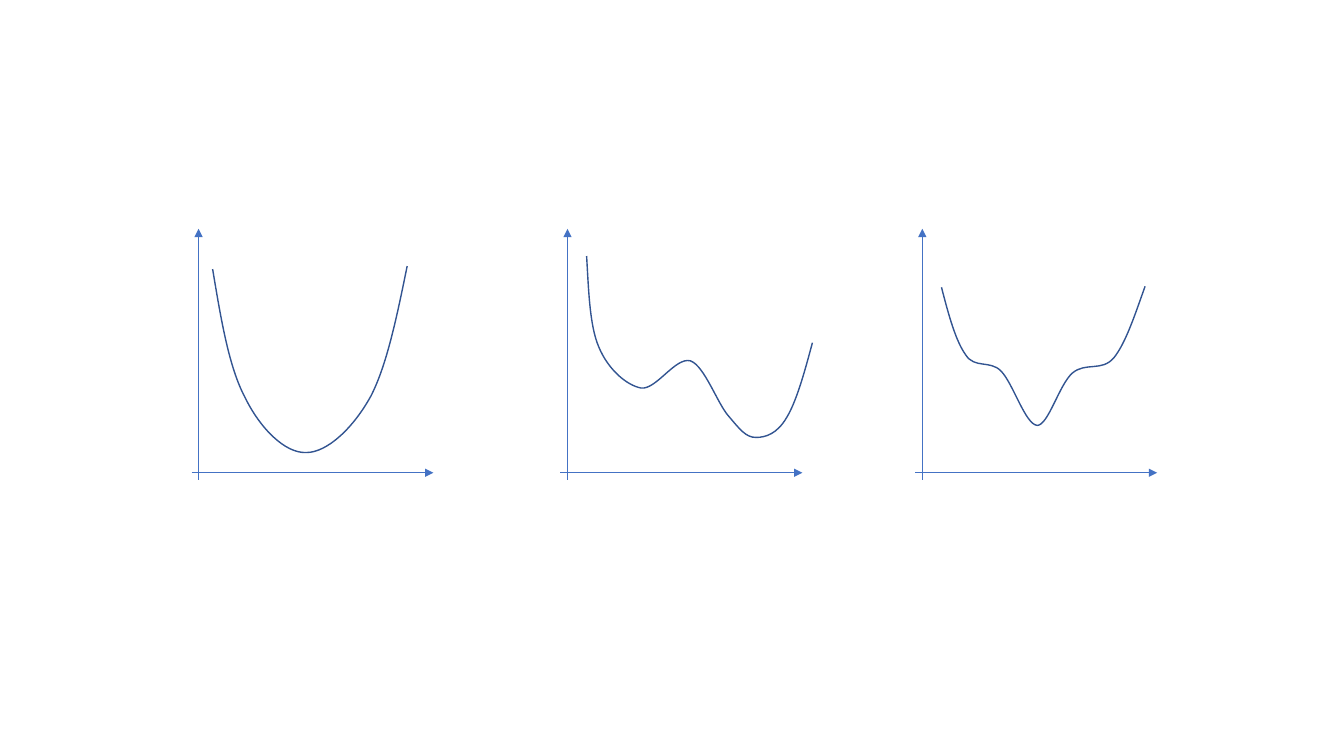
import dataclasses

import pptx
import pptx.dml.color
import pptx.enum.shapes
import pptx.oxml
import pptx.oxml.ns
import pptx.shapes.autoshape
import pptx.shapes.connector
import pptx.shapes.shapetree
import pptx.util

Point = tuple[int, int]

PX = 9144  # EMU per px, 100 px to the inch
AXIS_BLUE = pptx.dml.color.RGBColor(0x44, 0x72, 0xC4)
CURVE_BLUE = pptx.dml.color.RGBColor(0x32, 0x54, 0x91)

BASELINE = 469
AXIS_TOP = 227
AXIS_LENGTH = 233
OVERHANG = 7


@dataclasses.dataclass(frozen=True)
class Plot:
    """Axes crossing at origin_x, and a curve of a start point plus Bezier triples."""

    origin_x: int
    curve: list[Point]


PLOTS = [
    Plot(197, [
        (211, 267),
        (219, 315), (227, 364), (243, 394),
        (258, 425), (283, 450), (304, 449),
        (325, 449), (351, 424), (368, 393),
        (384, 362), (394, 313), (404, 264),
    ]),
    Plot(563, [
        (582, 254),
        (584, 288), (585, 323), (594, 344),
        (603, 366), (621, 382), (636, 385),
        (651, 387), (670, 354), (685, 358),
        (699, 363), (712, 401), (723, 413),
        (734, 426), (740, 434), (750, 434),
        (760, 434), (771, 430), (780, 415),
        (790, 399), (798, 370), (806, 340),
    ]),
    Plot(915, [
        (934, 285),
        (941, 312), (948, 338), (958, 352),
        (967, 366), (982, 357), (993, 368),
        (1005, 380), (1017, 421), (1029, 422),
        (1040, 422), (1051, 381), (1064, 370),
        (1077, 359), (1093, 369), (1105, 355),
        (1117, 340), (1126, 312), (1136, 284),
    ]),
]


def add_axis(shapes: pptx.shapes.shapetree.SlideShapes, start: Point,
             end: Point) -> pptx.shapes.connector.Connector:
    cxn = shapes.add_connector(pptx.enum.shapes.MSO_CONNECTOR.STRAIGHT,
                               *(v * PX for v in start + end))
    cxn.line.color.rgb = AXIS_BLUE
    cxn.line.width = pptx.util.Pt(0.5)
    ln = cxn.line._get_or_add_ln()
    ln.append(pptx.oxml.parse_xml(
        f'<a:tailEnd {pptx.oxml.ns.nsdecls("a")} type="triangle"/>'))
    cxn._element.spPr.append(pptx.oxml.parse_xml(
        f'<a:effectLst {pptx.oxml.ns.nsdecls("a")}/>'))
    return cxn


def bend_segments(sp: pptx.shapes.autoshape.Shape) -> None:
    """Turn every three straight segments of the outline into one cubic Bezier."""
    segments = sp._element.xpath(".//a:lnTo")
    for i in range(0, len(segments), 3):
        bezier = pptx.oxml.parse_xml(
            f'<a:cubicBezTo {pptx.oxml.ns.nsdecls("a")}/>')
        segments[i].addprevious(bezier)
        for segment in segments[i:i + 3]:
            bezier.append(segment[0])
            segment.getparent().remove(segment)


def add_curve(shapes: pptx.shapes.shapetree.SlideShapes,
              points: list[Point]) -> pptx.shapes.autoshape.Shape:
    builder = shapes.build_freeform(*points[0], scale=PX)
    builder.add_line_segments(points[1:], close=False)
    sp = builder.convert_to_shape()
    bend_segments(sp)
    sp.fill.background()
    sp.line.color.rgb = CURVE_BLUE
    sp.line.width = pptx.util.Pt(1)
    sp.shadow.inherit = False
    return sp


def add_plot(shapes: pptx.shapes.shapetree.SlideShapes, plot: Plot) -> None:
    x = plot.origin_x
    add_axis(shapes, (x - OVERHANG, BASELINE), (x + AXIS_LENGTH, BASELINE))
    add_axis(shapes, (x, BASELINE + OVERHANG), (x, AXIS_TOP))
    add_curve(shapes, plot.curve)


def main() -> None:
    prs = pptx.Presentation()
    prs.slide_width = pptx.util.Inches(40 / 3)
    prs.slide_height = pptx.util.Inches(7.5)
    s = prs.slides.add_slide(prs.slide_layouts[6])
    for plot in PLOTS:
        add_plot(s.shapes, plot)
    prs.save("out.pptx")


if __name__ == "__main__":
    main()
